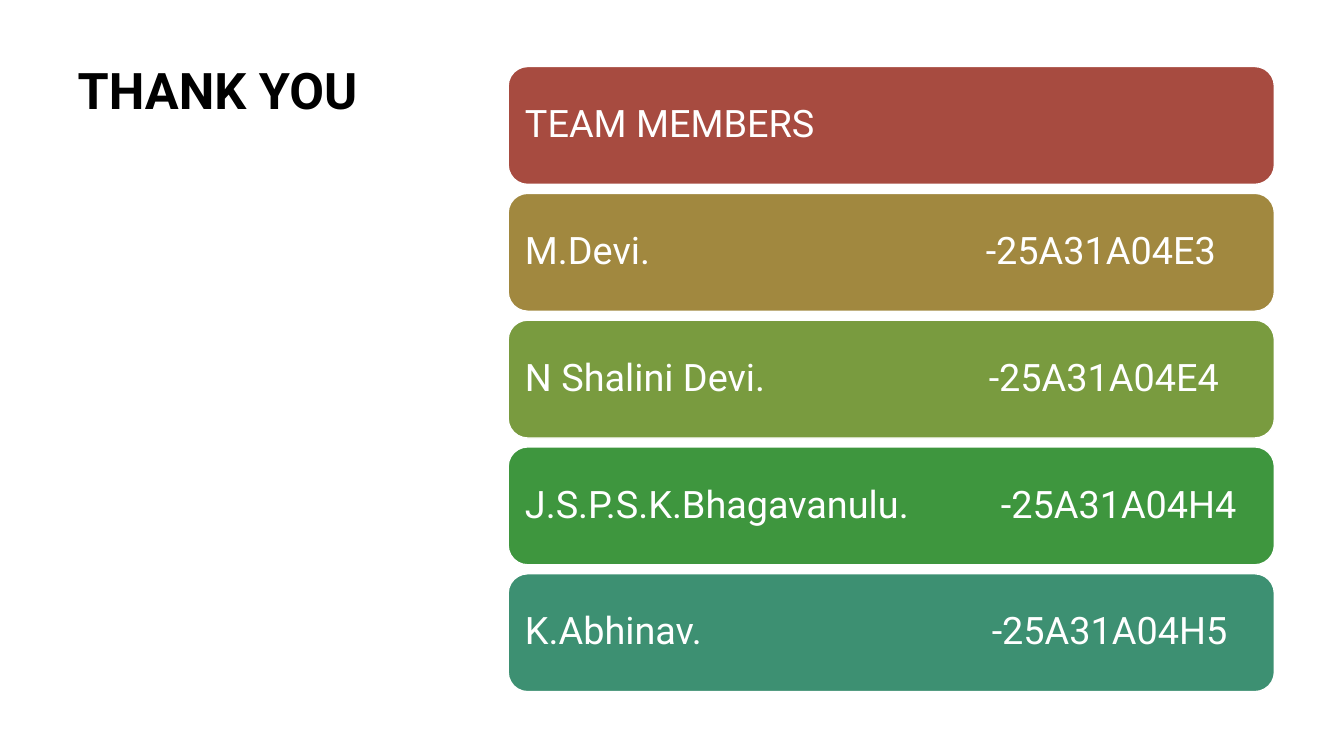
"""Build the closing slide with a thank-you title and the team member list."""
import lxml.etree
import pptx
import pptx.dml.color
import pptx.enum.shapes
import pptx.enum.text
import pptx.oxml.ns
import pptx.util

RGB = pptx.dml.color.RGBColor
Inches = pptx.util.Inches
Pt = pptx.util.Pt

BLACK = RGB(0x00, 0x00, 0x00)
WHITE = RGB(0xFF, 0xFF, 0xFF)
RED = RGB(0xA7, 0x4B, 0x40)
OCHRE = RGB(0xA1, 0x88, 0x3F)
OLIVE = RGB(0x79, 0x9B, 0x3F)
GREEN = RGB(0x3E, 0x96, 0x3E)
TEAL = RGB(0x3D, 0x90, 0x72)
FONT = "Roboto"

TITLE = "THANK YOU"
# fields: text, roll number, roll number offset in inches, fill
BARS = [
    ("TEAM MEMBERS", None, None, RED),
    ("M.Devi.", "-25A31A04E3", 4.57, OCHRE),
    ("N Shalini Devi.", "-25A31A04E4", 4.6, OLIVE),
    ("J.S.P.S.K.Bhagavanulu.", "-25A31A04H4", 4.72, GREEN),
    ("K.Abhinav.", "-25A31A04H5", 4.63, TEAL),
]

WIDTH, HEIGHT = 13.33, 7.5
TITLE_BOX = (0.67, 0.6, 3.82, 6.33)
BAR_LEFT, BAR_TOP, BAR_WIDTH, BAR_HEIGHT = 5.04, 0.66, 7.6, 1.17
BAR_PITCH = 1.258
BAR_INSET = 0.17


def add_text(p, text, size, color, bold=False):
    """Add one formatted run to a left-aligned paragraph."""
    p.alignment = pptx.enum.text.PP_ALIGN.LEFT
    p.line_spacing = 0.9
    r = p.add_run()
    r.text = text
    r.font.name = FONT
    r.font.size = Pt(size)
    r.font.bold = bold
    r.font.color.rgb = color


def add_tab_stop(p, offset):
    """Set a left tab stop at an offset in inches."""
    qn = pptx.oxml.ns.qn
    tabs = lxml.etree.SubElement(p._p.get_or_add_pPr(), qn("a:tabLst"))
    lxml.etree.SubElement(tabs, qn("a:tab"), pos=str(Inches(offset)), algn="l")


def add_title(slide):
    """Place and format the title placeholder."""
    sp = slide.shapes.title
    sp.left, sp.top, sp.width, sp.height = map(Inches, TITLE_BOX)
    tf = sp.text_frame
    tf.vertical_anchor = pptx.enum.text.MSO_ANCHOR.TOP
    tf.auto_size = pptx.enum.text.MSO_AUTO_SIZE.NONE
    add_text(tf.paragraphs[0], TITLE, 36, BLACK, bold=True)


def add_bar(slide, row, name, roll, offset, fill):
    """Draw one rounded bar with a name and an optional roll number."""
    box = (BAR_LEFT, BAR_TOP + row * BAR_PITCH, BAR_WIDTH, BAR_HEIGHT)
    kind = pptx.enum.shapes.MSO_SHAPE.ROUNDED_RECTANGLE
    sp = slide.shapes.add_shape(kind, *map(Inches, box))
    sp.shadow.inherit = False
    sp.fill.solid()
    sp.fill.fore_color.rgb = fill
    sp.line.color.rgb = WHITE
    sp.line.width = Pt(1)
    tf = sp.text_frame
    tf.word_wrap = True
    tf.vertical_anchor = pptx.enum.text.MSO_ANCHOR.MIDDLE
    tf.margin_left = tf.margin_right = Inches(BAR_INSET - 0.06)
    p = tf.paragraphs[0]
    add_text(p, name, 27, WHITE)
    if roll:
        add_tab_stop(p, offset)
        add_text(p, "\t" + roll, 27, WHITE)


def main():
    """Assemble and save the slide."""
    prs = pptx.Presentation()
    prs.slide_width, prs.slide_height = Inches(WIDTH), Inches(HEIGHT)
    slide = prs.slides.add_slide(prs.slide_layouts[5])
    add_title(slide)
    for row, bar in enumerate(BARS):
        add_bar(slide, row, *bar)
    prs.save("out.pptx")


if __name__ == "__main__":
    main()
